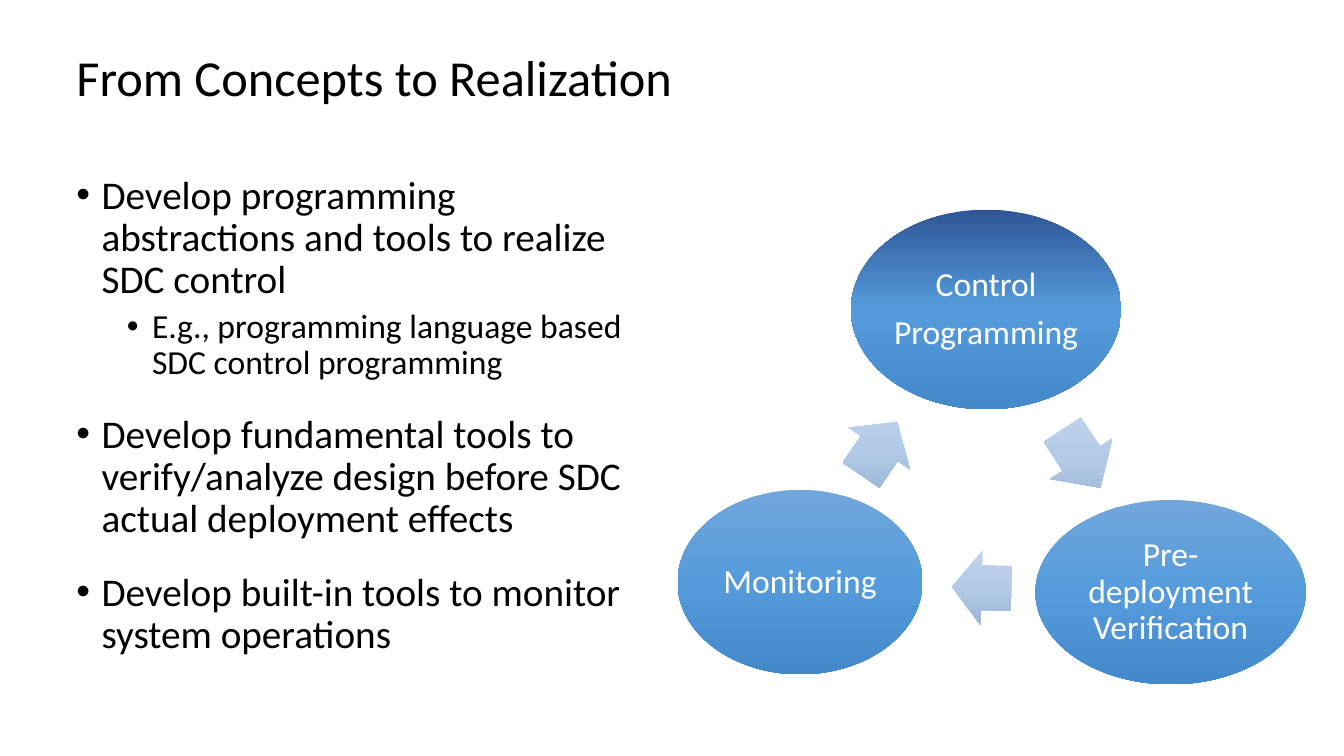
from dataclasses import dataclass

from lxml import etree
from pptx import Presentation
from pptx.dml.color import RGBColor
from pptx.enum.shapes import MSO_SHAPE
from pptx.enum.text import MSO_ANCHOR, PP_ALIGN
from pptx.oxml.ns import qn
from pptx.util import Inches, Pt

ELLIPSE, ARROW = MSO_SHAPE.OVAL, MSO_SHAPE.RIGHT_ARROW
TOP, MIDDLE = MSO_ANCHOR.TOP, MSO_ANCHOR.MIDDLE
LEFT, CENTER = PP_ALIGN.LEFT, PP_ALIGN.CENTER


@dataclass(frozen=True)
class Theme:
    """Fonts, type sizes, colours and gradients of the slide."""
    font: str = "Calibri"
    title: int = 36
    body: int = 28
    small: int = 24
    ink: str = "000000"
    light: str = "FFFFFF"
    first_step: tuple = ("2F5597", "559BDB", "448ACA")
    step: tuple = ("71A6DB", "559BDB", "448ACA")
    arrow: tuple = ("C0D2EB", "B3CBE9", "9BB4D3")


THEME = Theme()
LEVELS = ((0.25, THEME.body), (0.75, THEME.small))

BULLETS = (
    ((0.66, 1.69, 5.8, 2.29), (
        (0, "Develop programming abstractions and tools to realize SDC control"),
        (1, "E.g., programming language based SDC control programming"))),
    ((0.66, 4.06, 5.8, 1.49), (
        (0, "Develop fundamental tools to verify/analyze design before SDC "
            "actual deployment effects"),)),
    ((0.66, 5.63, 5.8, 1.49), (
        (0, "Develop built-in tools to monitor system operations"),)),
)
STEPS = (
    ((8.44, 2.08, 2.68, 1.98), THEME.first_step, ("Control", "Programming")),
    ((10.27, 4.96, 2.68, 1.83), THEME.step, ("Pre-deployment Verification",)),
    ((6.72, 4.86, 2.43, 1.83), THEME.step, ("Monitoring",)),
)
ARROWS = (
    ((10.38, 4.18, 0.69, 0.74), 56.8),
    ((9.44, 5.46, 0.59, 0.74), 181.6),
    ((8.4, 4.08, 0.64, 0.74), 304.2),
)


def apply(target, formats):
    """Set each named attribute on the target."""
    for name, value in formats.items():
        setattr(target, name, value)


def add_box(s, at, anchor, margin=None):
    """Add a wrapping text box and return its text frame."""
    tf = s.shapes.add_textbox(*map(Inches, at)).text_frame
    apply(tf, {"word_wrap": True, "vertical_anchor": anchor})
    if margin is not None:
        sides = ("left", "top", "right", "bottom")
        apply(tf, {f"margin_{side}": Inches(margin) for side in sides})
    return tf


def add_bullet(p, indent):
    """Give the paragraph a hanging bullet."""
    pPr = p._p.get_or_add_pPr()
    pPr.set("marL", str(Inches(indent)))
    pPr.set("indent", str(Inches(-0.25)))
    etree.SubElement(pPr, qn("a:buFont")).set("typeface", "Arial")
    etree.SubElement(pPr, qn("a:buChar")).set("char", "•")


def write(tf, index, text, size, color, **formats):
    """Write one paragraph of the text frame."""
    p = tf.add_paragraph() if index else tf.paragraphs[0]
    apply(p, {"line_spacing": 0.9, **formats})
    r = p.add_run()
    r.text = text
    apply(r.font, {"name": THEME.font, "size": Pt(size)})
    r.font.color.rgb = RGBColor.from_string(color)
    return p


def add_gradient_shape(s, kind, at, colors, rotation=0):
    """Add a borderless shape shaded evenly from top to bottom."""
    sp = s.shapes.add_shape(kind, *map(Inches, at))
    sp.rotation = rotation
    sp.shadow.inherit = False
    sp.line.fill.background()
    sp.fill.gradient()
    grad = sp._element.spPr.find(qn("a:gradFill"))
    grad.set("rotWithShape", "0")
    stops = grad.find(qn("a:gsLst"))
    stops.clear()
    for i, color in enumerate(colors):
        stop = etree.SubElement(stops, qn("a:gs"), pos=str(i * 50000))
        etree.SubElement(stop, qn("a:srgbClr"), val=color)
    sp.fill.gradient_angle = 270
    return sp


def add_bullets(s, at, items):
    """Add a box of bulleted paragraphs."""
    tf = add_box(s, at, TOP)
    for i, (level, text) in enumerate(items):
        indent, size = LEVELS[level]
        p = write(tf, i, text, size, THEME.ink, level=level,
                  alignment=LEFT, space_before=Pt(5 if i else 0))
        add_bullet(p, indent)


def add_step(s, at, colors, lines):
    """Add an ellipse with its label in the inscribed rectangle."""
    add_gradient_shape(s, ELLIPSE, at, colors)
    x, y, w, h = at
    inset = (1 - 0.5 ** 0.5) / 2
    label = (x + w * inset, y + h * inset, w * (1 - 2 * inset), h * (1 - 2 * inset))
    tf = add_box(s, label, MIDDLE, 0.03)
    for i, text in enumerate(lines):
        write(tf, i, text, THEME.small, THEME.light,
              alignment=CENTER, space_after=Pt(8.4))


def add_arrow(s, at, rotation):
    """Add a block arrow of the cycle."""
    sp = add_gradient_shape(s, ARROW, at, THEME.arrow, rotation)
    sp.adjustments[0], sp.adjustments[1] = 0.6, 0.5


def main():
    """Build and save the slide."""
    prs = Presentation()
    apply(prs, {"slide_width": Inches(13.33), "slide_height": Inches(7.5)})
    s = prs.slides.add_slide(prs.slide_layouts[6])
    title = add_box(s, (0.66, 0.27, 11.5, 1.05), MIDDLE)
    write(title, 0, "From Concepts to Realization", THEME.title, THEME.ink)
    for at, items in BULLETS:
        add_bullets(s, at, items)
    for at, colors, lines in STEPS:
        add_step(s, at, colors, lines)
    for at, rotation in ARROWS:
        add_arrow(s, at, rotation)
    prs.save("out.pptx")


if __name__ == "__main__":
    main()
